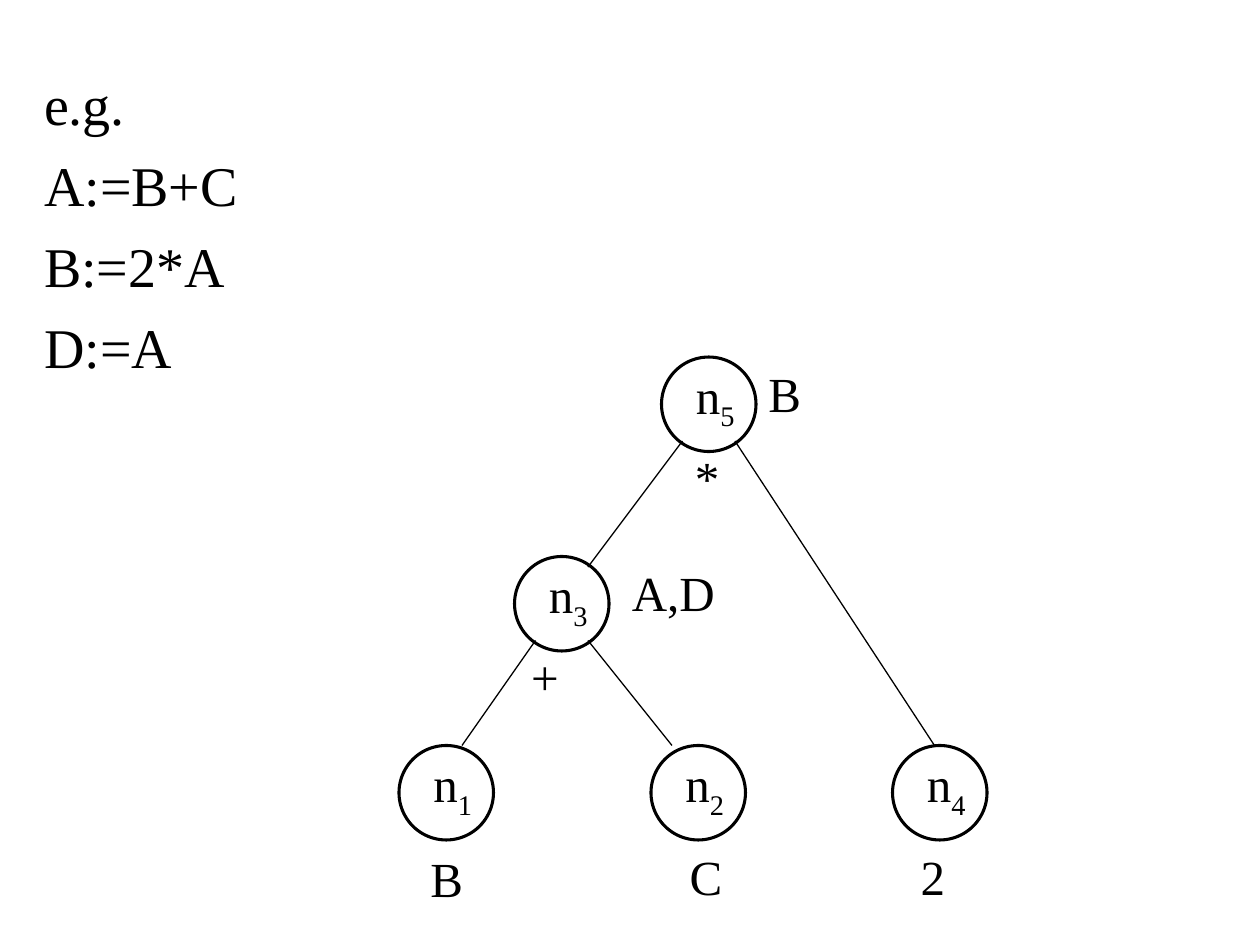
"""Builds a slide showing the DAG for three assignment statements."""
from lxml import etree
from pptx import Presentation
from pptx.dml.color import RGBColor
from pptx.enum.shapes import MSO_CONNECTOR, MSO_SHAPE
from pptx.enum.text import MSO_ANCHOR, MSO_AUTO_SIZE, PP_ALIGN
from pptx.oxml.ns import qn
from pptx.util import Inches, Pt

THEME = {
    "ink": RGBColor(0, 0, 0),
    "paper": RGBColor(255, 255, 255),
    "statement": {"name": "Times New Roman", "size": Pt(32)},
    "label": {"name": "Times New Roman", "size": Pt(28)},
    "ring": Pt(1.75),
    "edge": Pt(0.75),
}
FRAME = {"word_wrap": False, "auto_size": MSO_AUTO_SIZE.SHAPE_TO_FIT_TEXT,
         "vertical_anchor": MSO_ANCHOR.TOP}

deck = Presentation()
deck.slide_width, deck.slide_height = Inches(10), Inches(7.5)
COLUMN, ROW = deck.slide_width / 120, deck.slide_height / 90
DIAMETER = 9


def cells(*lengths):
    return [round(length * (COLUMN, ROW)[i % 2]) for i, length in enumerate(lengths)]


def write(left, top, width, height, text, subscript=""):
    caption = slide.shapes.add_textbox(*cells(left, top, width, height))
    for attribute, value in FRAME.items():
        setattr(caption.text_frame, attribute, value)
    paragraph = caption.text_frame.paragraphs[0]
    for part, baseline in ((text, 0), (subscript, -25000)):
        if part:
            run = paragraph.add_run()
            run.text = part
            for attribute, value in THEME["label"].items():
                setattr(run.font, attribute, value)
            run.font.color.rgb = THEME["ink"]
            if baseline:
                run._r.get_or_add_rPr().set("baseline", str(baseline))


slide = deck.slides.add_slide(deck.slide_layouts[1])
heading = slide.shapes.title._element
heading.getparent().remove(heading)

statements = slide.placeholders[1]
placement = dict(zip(("left", "top", "width", "height"), cells(3, 6, 117, 75)))
for attribute, value in placement.items():
    setattr(statements, attribute, value)
statements.text_frame.text = "e.g.\nA:=B+C\nB:=2*A\nD:=A"
statements.text_frame.auto_size = MSO_AUTO_SIZE.NONE
statements.text_frame.vertical_anchor = MSO_ANCHOR.TOP
for statement in statements.text_frame.paragraphs:
    statement.alignment = PP_ALIGN.LEFT
    statement.space_before = Pt(8)
    for attribute, value in THEME["statement"].items():
        setattr(statement.runs[0].font, attribute, value)
    statement.runs[0].font.color.rgb = THEME["ink"]
    properties = statement._p.get_or_add_pPr()
    properties.set("marL", str(Inches(0.38)))
    properties.set("indent", str(-Inches(0.38)))
    etree.SubElement(properties, qn("a:buNone"))

for number, column, row in (("1", 38, 71), ("2", 62, 71), ("3", 49, 53),
                            ("4", 85, 71), ("5", 63, 34)):
    node = slide.shapes.add_shape(MSO_SHAPE.OVAL, *cells(column, row, DIAMETER, DIAMETER))
    node.shadow.inherit = False
    node.fill.solid()
    node.fill.fore_color.rgb = THEME["paper"]
    node.line.color.rgb = THEME["ink"]
    node.line.width = THEME["ring"]
    write(column + 2.1, row + 0.2, 6.4, 7.5, "n", number)

for ends in ((51, 61, 44, 71), (56, 61, 64, 71), (65, 42, 56, 54), (70, 42, 89, 71)):
    edge = slide.shapes.add_connector(MSO_CONNECTOR.STRAIGHT, *cells(*ends))
    edge.line.color.rgb = THEME["ink"]
    edge.line.width = THEME["edge"]
    etree.SubElement(edge._element.spPr, qn("a:effectLst"))

for text, column, row, width in (("B", 39.8, 80.2, 5.6), ("C", 64.5, 80, 5.6),
                                 ("2", 86.5, 80, 4.8), ("A,D", 59, 53, 10.4),
                                 ("+", 49.4, 61, 5.1), ("B", 72, 34, 5.6),
                                 ("*", 65, 42, 4.8)):
    write(column, row, width, 6.8, text)

deck.save("out.pptx")
